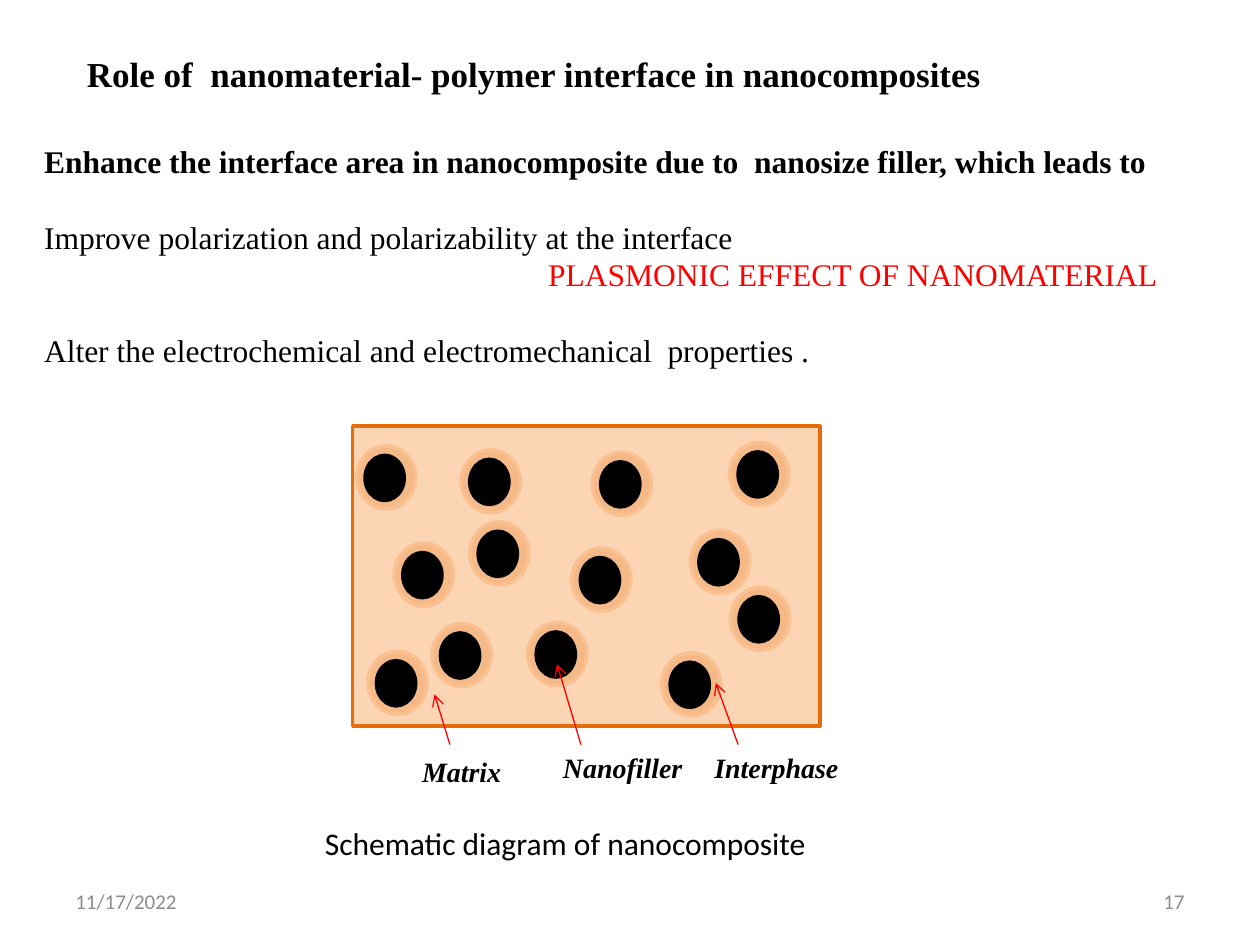
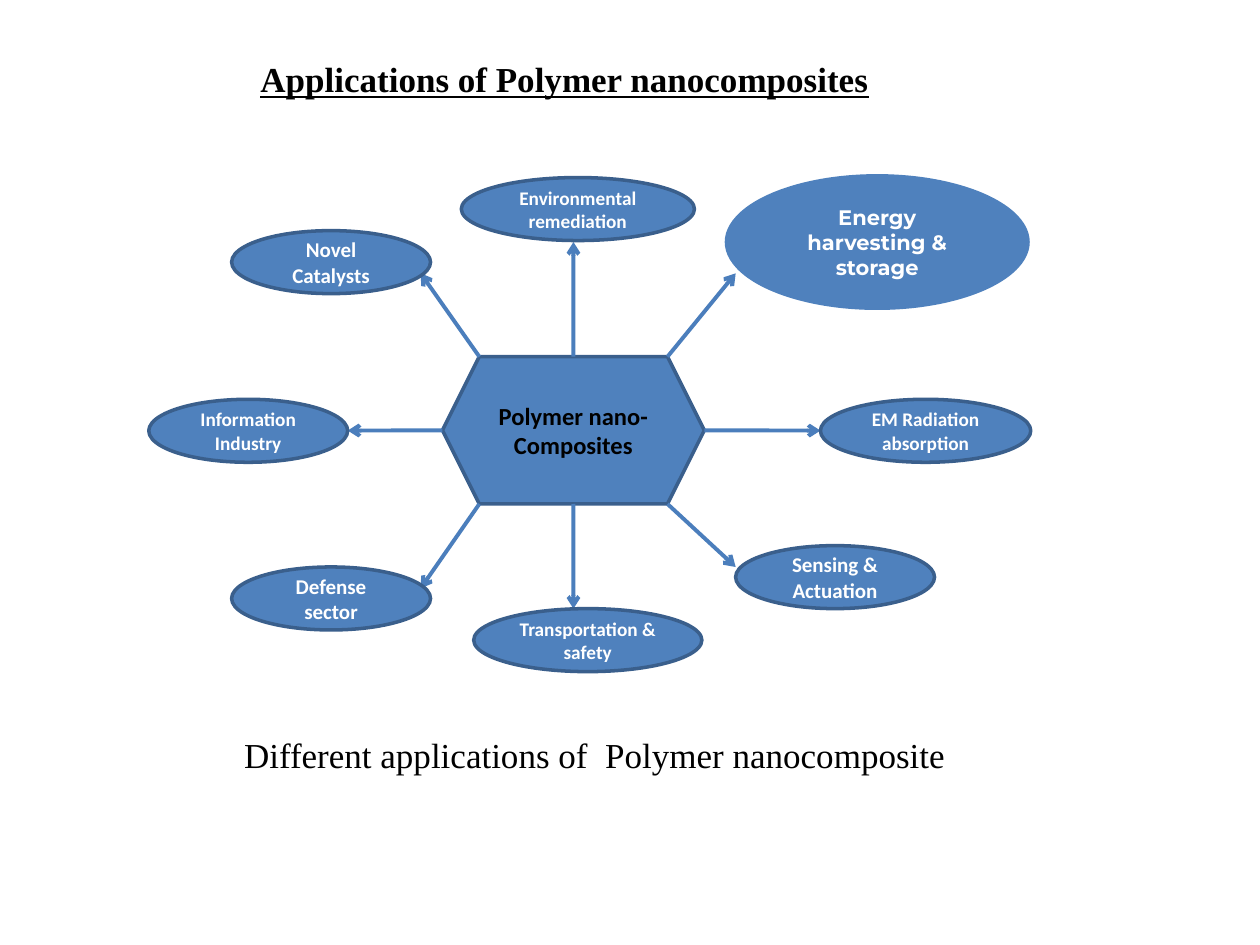
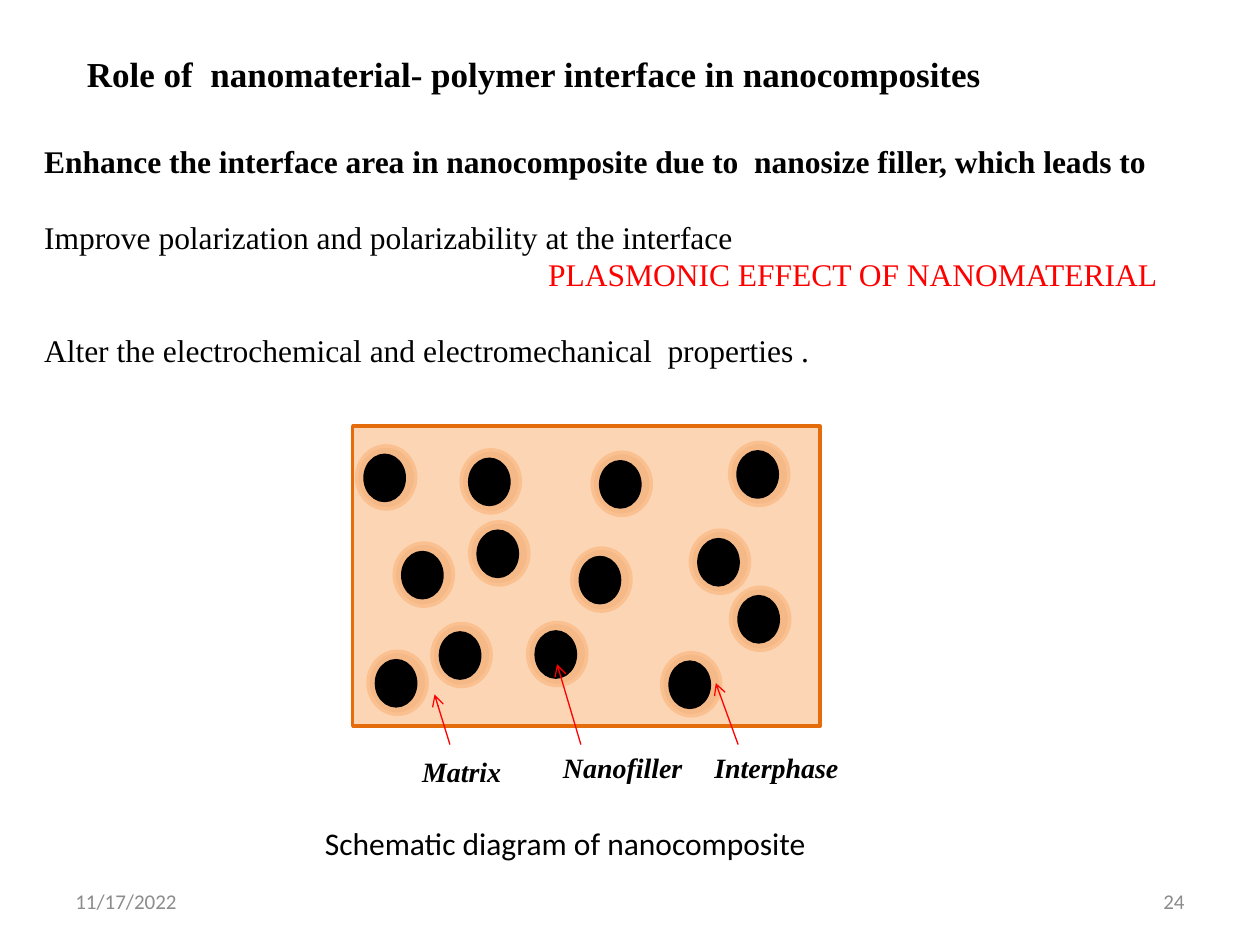
"""Builds three slides on polymer nanocomposites."""
from dataclasses import dataclass, replace
from typing import NamedTuple

from lxml import etree
from pptx import Presentation
from pptx import util as u
from pptx.dml.color import RGBColor
from pptx.enum import shapes, text
from pptx.oxml import ns

BLACK = RGBColor(0x00, 0x00, 0x00)
WHITE = RGBColor(0xFF, 0xFF, 0xFF)
GREY = RGBColor(0x8C, 0x8C, 0x8C)
RED = RGBColor(0xFF, 0x00, 0x00)
PEACH = RGBColor(0xFC, 0xD5, 0xB5)
APRICOT = RGBColor(0xFA, 0xC0, 0x90)
ORANGE = RGBColor(0xE4, 0x6C, 0x0A)
BLUE = RGBColor(0x4F, 0x81, 0xBD)
BLUE_LINE = RGBColor(0x3A, 0x5F, 0x8C)
BLUE_ARROW = RGBColor(0x4B, 0x7E, 0xBC)
SERIF = "Times New Roman"
SANS = "Calibri"
SERIF_LEADING = 1.2
LEFT, CENTER, RIGHT = text.PP_ALIGN.LEFT, text.PP_ALIGN.CENTER, text.PP_ALIGN.RIGHT
SHAPE = shapes.MSO_SHAPE


class Box(NamedTuple):
    """Left, top, width and height in centimetres."""
    x: float
    y: float
    w: float
    h: float


class Arrow(NamedTuple):
    """Start and end of an arrow in centimetres."""
    x1: float
    y1: float
    x2: float
    y2: float


@dataclass(frozen=True)
class Style:
    """Look of a piece of text."""
    size: float
    font: str = SERIF
    color: RGBColor = BLACK
    bold: bool = False
    italic: bool = False
    underline: bool = False
    align: text.PP_ALIGN = LEFT


@dataclass(frozen=True)
class Line:
    """One body paragraph with its indent and blank lines above."""
    words: str
    style: Style
    indent: float = 0
    lines_above: int = 0


@dataclass(frozen=True)
class Application:
    """One ellipse around the hub."""
    words: str
    box: Box
    size: float = 12
    font: str = SANS
    outline: RGBColor | None = BLUE_LINE


TITLE = Style(20, bold=True)
BODY = Style(18)
LABEL = Style(16, bold=True, italic=True)
FOOTER = Style(12, SANS, GREY)

BODY_LINES = [
    Line("Enhance the interface area in nanocomposite due to  nanosize filler, which leads to",
         replace(BODY, bold=True)),
    Line("Improve polarization and polarizability at the interface", BODY, lines_above=1),
    Line("PLASMONIC EFFECT OF NANOMATERIAL", replace(BODY, color=RED), indent=10.16),
    Line("Alter the electrochemical and electromechanical  properties .", BODY, lines_above=1),
]

HALO_SIZE = (1.19, 1.27)
CORE_SIZE = (0.79, 0.91)
CORE_OFFSET = (0.17, 0.19)
PARTICLES = [
    (8.71, 12.57), (7.19, 8.99), (9.47, 10.52), (10.64, 12.55), (7.42, 13.13),
    (9.3, 9.07), (7.95, 10.95), (11.53, 11.05), (11.94, 9.12), (13.34, 13.16),
    (14.73, 11.84), (13.92, 10.69), (14.71, 8.92),
]
CALLOUTS = [
    ("Nanofiller", Box(11.1, 15.01, 2.95, 0.94), Arrow(11.71, 15.01, 11.23, 13.39)),
    ("Matrix", Box(8.26, 15.09, 2.13, 0.94), Arrow(9.07, 15.01, 8.76, 14)),
    ("Interphase", Box(14.15, 15.01, 3.05, 0.94), Arrow(14.88, 15.01, 14.43, 13.77)),
]

HUB = Box(8.92, 7.19, 5.28, 2.97)
HUB_INSET = HUB.h / 4
ARROW_TIPS = {
    (0.5, 0): (11.56, 4.88), (1, 0): (14.83, 5.51), (1, 0.5): (16.54, 8.68),
    (1, 1): (14.83, 11.43), (0.5, 1): (11.56, 12.27), (0, 1): (8.48, 11.86),
    (0, 0.5): (7.01, 8.68), (0, 0): (8.48, 5.51),
}
APPLICATIONS = [
    Application("Energy harvesting & storage", Box(14.61, 3.51, 6.15, 2.74),
                font="Montserrat", outline=None),
    Application("EM Radiation\nabsorption", Box(16.54, 8.05, 4.24, 1.27), 11),
    Application("Sensing & Actuation", Box(14.83, 11, 4.01, 1.27)),
    Application("Transportation & safety", Box(9.55, 12.27, 4.6, 1.27), 11),
    Application("Defense sector", Box(4.67, 11.43, 4.01, 1.27)),
    Application("Information Industry", Box(3, 8.05, 4.01, 1.27), 11),
    Application("Novel Catalysts", Box(4.67, 4.65, 4.01, 1.27)),
    Application("Environmental remediation", Box(9.3, 3.58, 4.7, 1.27), 11),
]


def cm(values) -> list:
    """Turns centimetre numbers into lengths."""
    return [u.Cm(v) for v in values]


def format_paragraph(p, style: Style) -> None:
    """Applies a style to a paragraph and its runs."""
    p.alignment = style.align
    if style.font == SERIF:
        p.line_spacing = u.Pt(style.size * SERIF_LEADING)
    for r in p.runs:
        r.font.name = style.font
        r.font.size = u.Pt(style.size)
        r.font.color.rgb = style.color
        r.font.bold = style.bold
        r.font.italic = style.italic
        r.font.underline = style.underline


def fill_text(sp, words: str, style: Style) -> None:
    """Puts styled text into a shape."""
    sp.text_frame.text = words
    for p in sp.text_frame.paragraphs:
        format_paragraph(p, style)


def add_text(s, words: str, box: Box, style: Style, wrap: bool = False,
             anchor: text.MSO_ANCHOR = text.MSO_ANCHOR.TOP):
    """Adds a text box."""
    sp = s.shapes.add_textbox(*cm(box))
    sp.text_frame.word_wrap = wrap
    sp.text_frame.vertical_anchor = anchor
    fill_text(sp, words, style)
    return sp


def add_shape(s, kind: shapes.MSO_SHAPE, box: Box, fill: RGBColor,
              outline: RGBColor | None):
    """Adds a filled shape with an optional outline."""
    sp = s.shapes.add_shape(kind, *cm(box))
    sp.shadow.inherit = False
    sp.fill.solid()
    sp.fill.fore_color.rgb = fill
    if outline is None:
        sp.line.fill.background()
    else:
        sp.line.color.rgb = outline
        sp.line.width = u.Pt(2)
    return sp


def add_label_shape(s, kind: shapes.MSO_SHAPE, box: Box, outline: RGBColor | None,
                    words: str, style: Style) -> None:
    """Adds a blue shape with centred text."""
    sp = add_shape(s, kind, box, BLUE, outline)
    sp.text_frame.word_wrap = True
    sp.text_frame.vertical_anchor = text.MSO_ANCHOR.MIDDLE
    fill_text(sp, words, style)


def add_arrow(s, arrow: Arrow, color: RGBColor, width: float) -> None:
    """Adds a straight arrow with an open head."""
    c = s.shapes.add_connector(shapes.MSO_CONNECTOR.STRAIGHT, *cm(arrow))
    c.line.color.rgb = color
    c.line.width = u.Pt(width)
    props = c._element.spPr
    etree.SubElement(props.find(ns.qn("a:ln")), ns.qn("a:tailEnd"), type="arrow")
    etree.SubElement(props, ns.qn("a:effectLst"))


def add_particle(s, x: float, y: float) -> None:
    """Adds a filler particle with its translucent interphase."""
    kind = SHAPE.FLOWCHART_CONNECTOR
    halo = add_shape(s, kind, Box(x, y, *HALO_SIZE), ORANGE, APRICOT)
    color = halo._element.spPr.find(f"{ns.qn('a:solidFill')}/{ns.qn('a:srgbClr')}")
    etree.SubElement(color, ns.qn("a:alpha"), val="26000")
    dx, dy = CORE_OFFSET
    add_shape(s, kind, Box(x + dx, y + dy, *CORE_SIZE), BLACK, BLACK)


def add_body(s) -> None:
    """Adds the paragraphs above the schematic."""
    sp = add_text(s, "\n".join(line.words for line in BODY_LINES),
                  Box(0.64, 2.74, 23.72, 5.64), BODY, wrap=True)
    for p, line in zip(sp.text_frame.paragraphs, BODY_LINES):
        format_paragraph(p, line.style)
        if line.lines_above:
            p.space_before = u.Pt(line.lines_above * BODY.size * SERIF_LEADING)
        if line.indent:
            p._p.get_or_add_pPr().set("marL", str(u.Cm(line.indent)))


def add_footer(s, page: int) -> None:
    """Adds the date and the page number."""
    middle = text.MSO_ANCHOR.MIDDLE
    add_text(s, "11/17/2022", Box(1.27, 17.65, 5.92, 1.02), FOOTER, True, middle)
    add_text(s, str(page), Box(18.21, 17.65, 5.92, 1.02),
             replace(FOOTER, align=RIGHT), True, middle)


def build_interface_slide(s, page: int) -> None:
    """Draws the slide on the interface with its schematic."""
    add_footer(s, page)
    add_shape(s, SHAPE.RECTANGLE, Box(7.11, 8.59, 9.42, 6.05), PEACH, ORANGE)
    for x, y in PARTICLES:
        add_particle(s, x, y)
    for words, box, arrow in CALLOUTS:
        add_arrow(s, arrow, RED, 0.75)
        add_text(s, words, box, LABEL)
    add_text(s, "Schematic diagram of nanocomposite",
             Box(6.3, 16.48, 10.31, 1.02), Style(18, SANS))
    add_body(s)
    add_text(s, "Role of  nanomaterial- polymer interface in nanocomposites",
             Box(1.5, 0.94, 23.67, 1.12), TITLE, wrap=True)


def hub_point(across: float, down: float) -> tuple[float, float]:
    """Finds a point on the outline of the hub."""
    inset = 0 if down == 0.5 else HUB_INSET
    return HUB.x + inset + across * (HUB.w - 2 * inset), HUB.y + down * HUB.h


def build_applications_slide(s) -> None:
    """Draws the hub with the applications around it."""
    add_label_shape(s, SHAPE.HEXAGON, HUB, BLUE_LINE, "Polymer nano-\nComposites",
                    Style(14, SANS, bold=True, align=CENTER))
    for start, tip in ARROW_TIPS.items():
        add_arrow(s, Arrow(*hub_point(*start), *tip), BLUE_ARROW, 2.25)
    for app in APPLICATIONS:
        add_label_shape(s, SHAPE.OVAL, app.box, app.outline, app.words,
                        Style(app.size, app.font, WHITE, bold=True, align=CENTER))
    add_text(s, "Different applications of  Polymer nanocomposite",
             Box(4.67, 14.66, 14.91, 1.12), Style(20))
    add_text(s, "Applications of Polymer nanocomposites",
             Box(5, 1.04, 12.85, 1.12), replace(TITLE, underline=True))


def main() -> None:
    """Builds and saves the presentation."""
    prs = Presentation()
    prs.slide_width, prs.slide_height = u.Cm(25.4), u.Cm(19.05)
    first, second, third = (prs.slides.add_slide(prs.slide_layouts[6]) for _ in range(3))
    build_interface_slide(first, 17)
    build_applications_slide(second)
    build_interface_slide(third, 24)
    prs.save("out.pptx")


if __name__ == "__main__":
    main()
